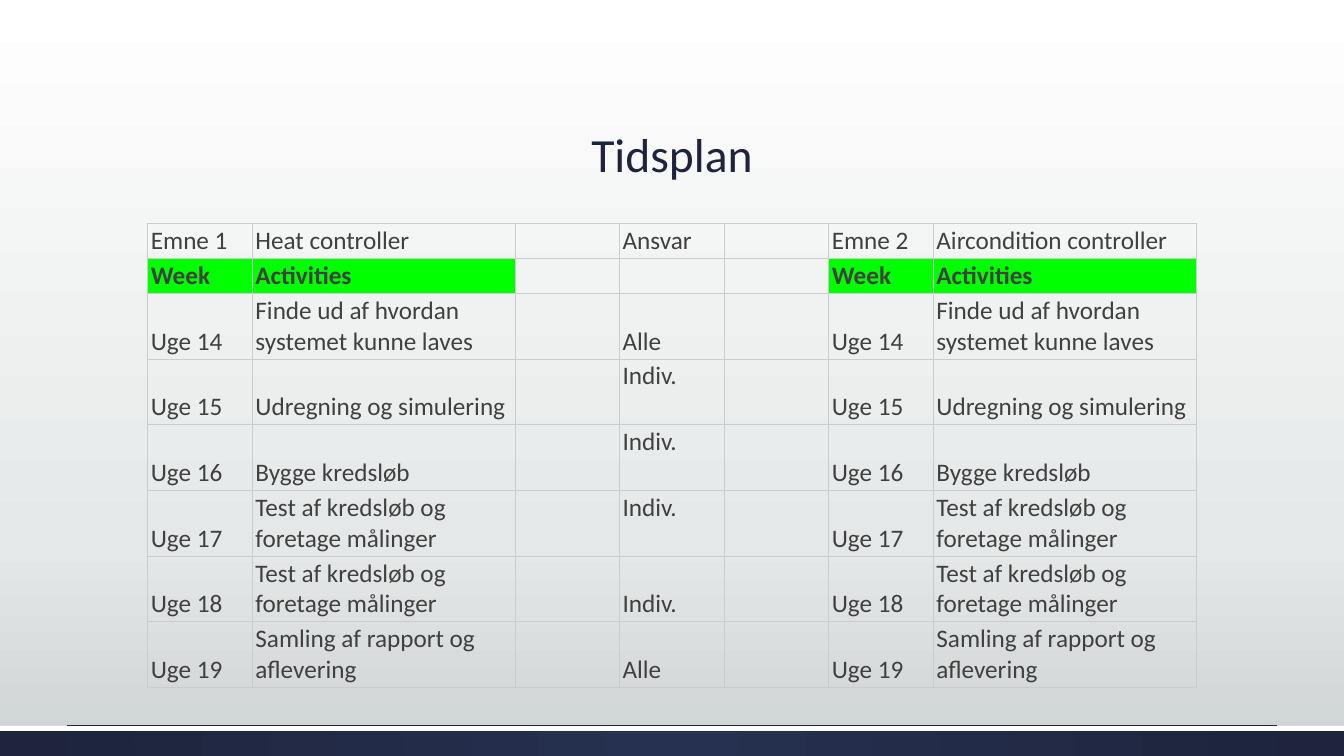
from lxml import etree
from pptx import Presentation, util as u
from pptx.dml.color import RGBColor
from pptx.enum import shapes, text
from pptx.oxml.ns import qn

COLORS = {"navy": "1D243C", "blue": "263050", "white": "FFFFFF", "mist": "E5E8E8",
          "grey": "CDD2D2", "text": "404040", "border": "CCCCCC", "green": "00FF00"}
FONT = "Calibri"
WIDTH, HEIGHT = 13.33, 7.5


def rgb(name):
    return RGBColor.from_string(COLORS[name])


def sub(parent, tag, **attrs):
    return etree.SubElement(parent, qn(tag), {k: str(v) for k, v in attrs.items()})


class Deck:
    def __init__(self):
        self.prs = Presentation()
        self.prs.slide_width, self.prs.slide_height = u.Inches(WIDTH), u.Inches(HEIGHT)
        self.s = self.prs.slides.add_slide(self.prs.slide_layouts[5])

    def box(self, x, y, w, h):
        """Turn shares of the slide into lengths."""
        pw, ph = self.prs.slide_width, self.prs.slide_height
        return [int(v) for v in (x * pw, y * ph, w * pw, h * ph)]

    def style(self, p, size, color, bold=False):
        f = p.font
        f.name, f.size, f.bold = FONT, u.Pt(size), bold
        f.color.rgb = rgb(color)

    def gradient(self, fill, owner, stops, radial=False):
        fill.gradient()
        grad = owner.find(".//" + qn("a:gradFill"))
        for child in list(grad):
            grad.remove(child)
        gs_list = sub(grad, "a:gsLst")
        for pos, color in stops:
            sub(sub(gs_list, "a:gs", pos=pos * 1000), "a:srgbClr", val=COLORS[color])
        if radial:
            sub(sub(grad, "a:path", path="circle"), "a:fillToRect",
                l=50000, t=50000, r=50000, b=50000)
        else:
            sub(grad, "a:lin", ang=5400000, scaled=0)

    def background(self, stops):
        self.gradient(self.s.background.fill, self.s._element, stops)

    def bar(self, area, color=None, stops=None):
        sp = self.s.shapes.add_shape(shapes.MSO_SHAPE.RECTANGLE, *self.box(*area))
        sp.shadow.inherit = False
        sp.line.fill.background()
        if stops:
            self.gradient(sp.fill, sp._element, stops, radial=True)
        else:
            sp.fill.solid()
            sp.fill.fore_color.rgb = rgb(color)

    def rule(self, x1, x2, y, color):
        x, y, w, _ = self.box(x1, y, x2 - x1, 0)
        line = self.s.shapes.add_connector(shapes.MSO_CONNECTOR.STRAIGHT, x, y, x + w, y)
        line.line.color.rgb, line.line.width = rgb(color), u.Pt(0.75)
        sub(line._element.spPr, "a:effectLst")

    def title(self, words, area, size):
        sp = self.s.shapes.title
        sp.left, sp.top, sp.width, sp.height = self.box(*area)
        tf = sp.text_frame
        tf.text = words
        tf.vertical_anchor = text.MSO_ANCHOR.BOTTOM
        p = tf.paragraphs[0]
        p.alignment, p.line_spacing = text.PP_ALIGN.CENTER, 0.9
        self.style(p, size, "navy")

    def table(self, rows, area, col_shares, row_shares, size, top_cells):
        x, y, w, h = self.box(*area)
        frame = self.s.shapes.add_table(len(rows), len(col_shares), x, y, w, h)
        tbl = frame.table
        tbl.first_row = tbl.horz_banding = False
        for col, share in zip(tbl.columns, col_shares):
            col.width = int(w * share / sum(col_shares))
        for row, share in zip(tbl.rows, row_shares):
            row.height = int(h * share / sum(row_shares))
        for r, row in enumerate(rows):
            for c, words in enumerate(row):
                header = r == 1 and bool(words)
                anchor = "TOP" if (r, c) in top_cells else "BOTTOM"
                self.cell(tbl.cell(r, c), words, size, header, text.MSO_ANCHOR[anchor])

    def cell(self, cell, words, size, header, anchor):
        cell.text = words
        cell.vertical_anchor = anchor
        cell.margin_left = cell.margin_right = u.Inches(0.03)
        cell.margin_top = cell.margin_bottom = u.Inches(0.02)
        self.style(cell.text_frame.paragraphs[0], size, "text", header)
        tc_pr = cell._tc.get_or_add_tcPr()
        for side in "LRTB":
            ln = sub(tc_pr, "a:ln" + side, w=u.Pt(0.75))
            sub(sub(ln, "a:solidFill"), "a:srgbClr", val=COLORS["border"])
        if header:
            cell.fill.solid()
            cell.fill.fore_color.rgb = rgb("green")
        else:
            cell.fill.background()


deck = Deck()

# Backdrop and footer band
deck.background([(0, "white"), (72, "mist"), (100, "grey")])
deck.bar((0, 0.96, 1, 0.04), stops=[(0, "blue"), (100, "navy")])
deck.bar((0, 0.96, 1, 0.05 / HEIGHT), color="white")
deck.rule(0.05, 0.95, 0.96, "navy")

# Title
LEFT, SPAN = 0.11, 0.78
deck.title("Tidsplan", (LEFT, 0.068, SPAN, 0.18), 34)

# Schedule: both topics share the weeks and activities
measure = "Test af kredsløb og foretage målinger"
plan = [("Finde ud af hvordan systemet kunne laves", "Alle"),
        ("Udregning og simulering", "Indiv."),
        ("Bygge kredsløb", "Indiv."),
        (measure, "Indiv."),
        (measure, "Indiv."),
        ("Samling af rapport og aflevering", "Alle")]
rows = [["Emne 1", "Heat controller", "", "Ansvar", "", "Emne 2", "Aircondition controller"],
        ["Week", "Activities", "", "", "", "Week", "Activities"]]
for week, (activity, who) in enumerate(plan, 14):
    topic = [f"Uge {week}", activity]
    rows.append(topic + ["", who, ""] + topic)
deck.table(rows, (LEFT, 2.22 / HEIGHT, SPAN, 4.6 / HEIGHT),
           col_shares=[1.04, 2.61, 1.04, 1.04, 1.04, 1.04, 2.61],
           row_shares=[0.345] * 2 + [0.652] * len(plan), size=18,
           top_cells=[(r, 3) for r in (3, 4, 5)])

deck.prs.save("out.pptx")
